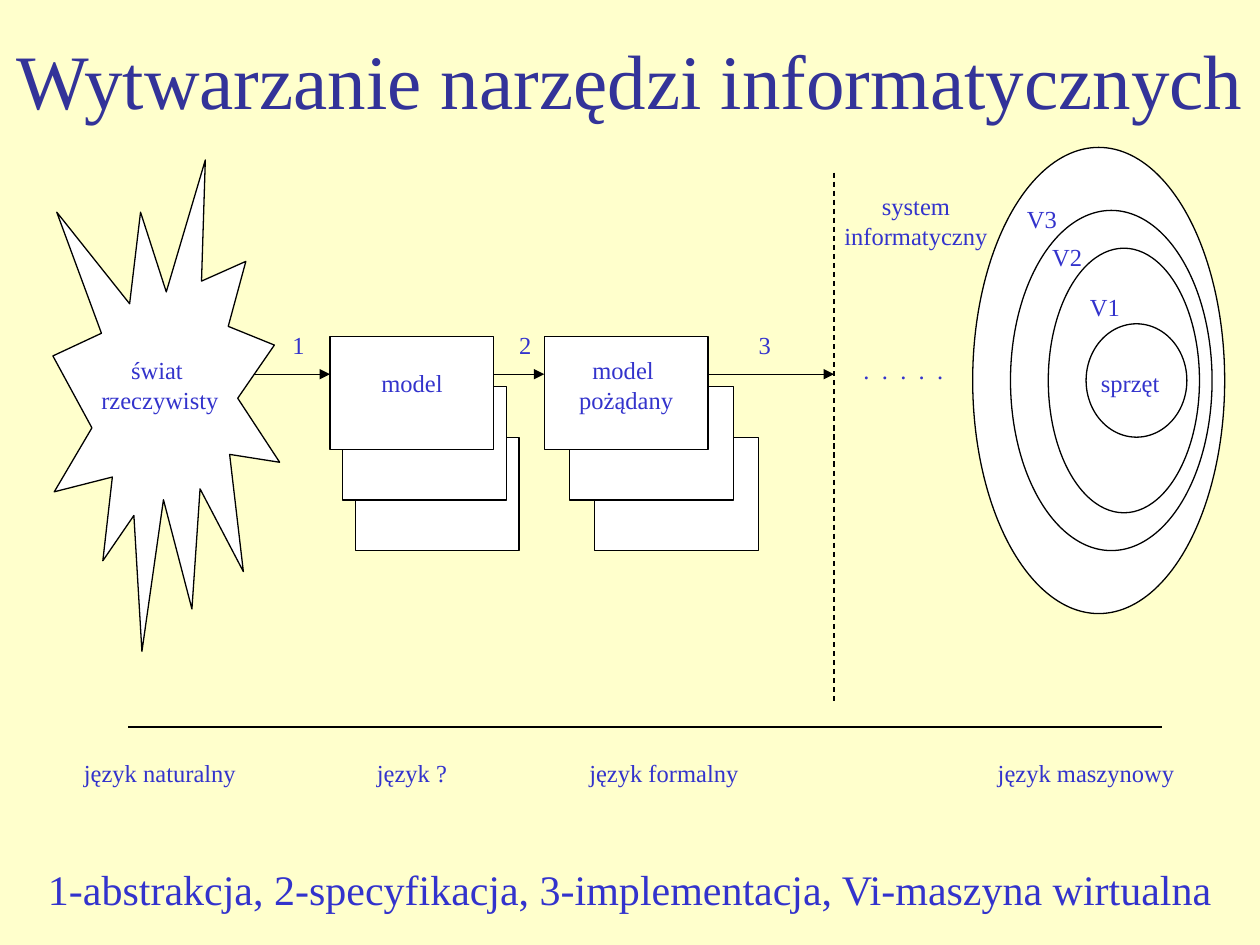
from dataclasses import dataclass

from lxml.etree import SubElement
from pptx import Presentation
from pptx.dml.color import RGBColor
from pptx.enum.dml import MSO_LINE_DASH_STYLE as Dash
from pptx.enum.shapes import MSO_CONNECTOR as Connector, MSO_SHAPE as Shape
from pptx.enum.text import MSO_ANCHOR as Anchor, PP_ALIGN as Align
from pptx.oxml.ns import qn
from pptx.util import Inches, Pt

FONT = "Times New Roman"
BACKGROUND = "FFFFCC"
TITLE = "333399"
TEXT = "3333CC"
FILL = "FFFFFF"
LINE = "000000"
LINE_WIDTH = Pt(0.75)


@dataclass
class Figure:
    kind: Shape
    left: float
    top: float
    width: float
    height: float


@dataclass
class Label:
    text: str
    left: float
    top: float
    width: float = 1.5
    height: float = 0.5
    size: int = 14
    color: str = TEXT
    margin: float = 0.1
    anchor: Anchor = Anchor.TOP
    spacing: int = 0


@dataclass
class Rule:
    x1: float
    y1: float
    x2: float
    y2: float
    arrow: bool = False
    dashed: bool = False


def rgb(color: str) -> RGBColor:
    return RGBColor.from_string(color)


def draw_figure(page, figure: Figure) -> None:
    shape = page.shapes.add_shape(
        figure.kind, Inches(figure.left), Inches(figure.top),
        Inches(figure.width), Inches(figure.height))
    shape.shadow.inherit = False
    shape.fill.solid()
    shape.fill.fore_color.rgb = rgb(FILL)
    shape.line.color.rgb = rgb(LINE)
    shape.line.width = LINE_WIDTH


def draw_label(page, label: Label) -> None:
    box = page.shapes.add_textbox(
        Inches(label.left), Inches(label.top),
        Inches(label.width), Inches(label.height))
    frame = box.text_frame
    frame.word_wrap = True
    frame.margin_left = frame.margin_right = Inches(label.margin)
    frame.vertical_anchor = label.anchor
    frame.text = label.text
    for paragraph in frame.paragraphs:
        paragraph.alignment = Align.CENTER
        for span in paragraph.runs:
            span.font.name = FONT
            span.font.size = Pt(label.size)
            span.font.color.rgb = rgb(label.color)
            if label.spacing:
                span.font._element.set("spc", str(label.spacing))


def draw_rule(page, rule: Rule) -> None:
    connector = page.shapes.add_connector(
        Connector.STRAIGHT, Inches(rule.x1), Inches(rule.y1),
        Inches(rule.x2), Inches(rule.y2))
    connector.line.color.rgb = rgb(LINE)
    connector.line.width = LINE_WIDTH
    if rule.dashed:
        connector.line.dash_style = Dash.DASH
    if rule.arrow:
        SubElement(connector.line._get_or_add_ln(), qn("a:tailEnd"), type="triangle")
    SubElement(connector._element.spPr, qn("a:effectLst"))


def model_stack(left: float, shift: float) -> list[Figure]:
    return [Figure(Shape.RECTANGLE, left + step * shift, 2.67 + step * 0.4, 1.3, 0.9)
            for step in (2, 1, 0)]


FIGURES = [
    Figure(Shape.EXPLOSION1, 0.42, 1.27, 1.8, 3.9),
    *model_stack(2.62, 0.1),
    *model_stack(4.32, 0.2),
    Figure(Shape.OVAL, 7.72, 1.17, 2, 3.7),
    Figure(Shape.OVAL, 8.02, 1.67, 1.6, 2.7),
    Figure(Shape.OVAL, 8.32, 1.97, 1.2, 2.1),
    Figure(Shape.OVAL, 8.62, 2.57, 0.8, 0.9),
]

RULES = [
    Rule(1.02, 5.77, 9.22, 5.77),
    Rule(6.62, 1.37, 6.62, 5.57, dashed=True),
    *[Rule(start, 2.97, end, 2.97, arrow=True)
      for start, end in ((2.02, 2.62), (3.92, 4.32), (5.62, 6.62))],
]

LANGUAGES = [
    Label(text, left, 5.97, width, 0.4) for text, left, width in (
        ("język naturalny", 0.52, 1.5),
        ("język ?", 2.52, 1.5),
        ("język formalny", 4.52, 1.5),
        ("język maszynowy", 7.72, 1.8))
]

MARKS = [
    Label(text, left, top, 0.5, 0.4) for text, left, top in (
        ("1", 2.12, 2.57), ("2", 3.92, 2.57), ("3", 5.82, 2.57),
        ("V1", 8.52, 2.27), ("V2", 8.22, 1.87), ("V3", 8.02, 1.57))
]

LABELS = [
    Label("Wytwarzanie narzędzi informatycznych", 0, 0, 10, 1.25, 44, TITLE,
          margin=0, anchor=Anchor.MIDDLE),
    Label("świat \nrzeczywisty", 0.52, 2.77, height=0.7),
    Label("model", 2.52, 2.87),
    Label("model \npożądany", 4.22, 2.77, height=0.6),
    Label("system\ninformatyczny", 6.52, 1.47, height=0.6),
    Label(". . . . .", 6.42, 2.77, spacing=175),
    Label("sprzęt", 8.22, 2.87),
    *LANGUAGES,
    *MARKS,
    Label("1-abstrakcja, 2-specyfikacja, 3-implementacja, Vi-maszyna wirtualna",
          0, 6.8, 10, 0.5, 24, margin=0, anchor=Anchor.MIDDLE),
]


def main() -> None:
    deck = Presentation()
    deck.slide_width = Inches(10)
    deck.slide_height = Inches(7.5)
    page = deck.slides.add_slide(deck.slide_layouts[6])
    page.background.fill.solid()
    page.background.fill.fore_color.rgb = rgb(BACKGROUND)
    for figure in FIGURES:
        draw_figure(page, figure)
    for rule in RULES:
        draw_rule(page, rule)
    for label in LABELS:
        draw_label(page, label)
    deck.save("out.pptx")


if __name__ == "__main__":
    main()
